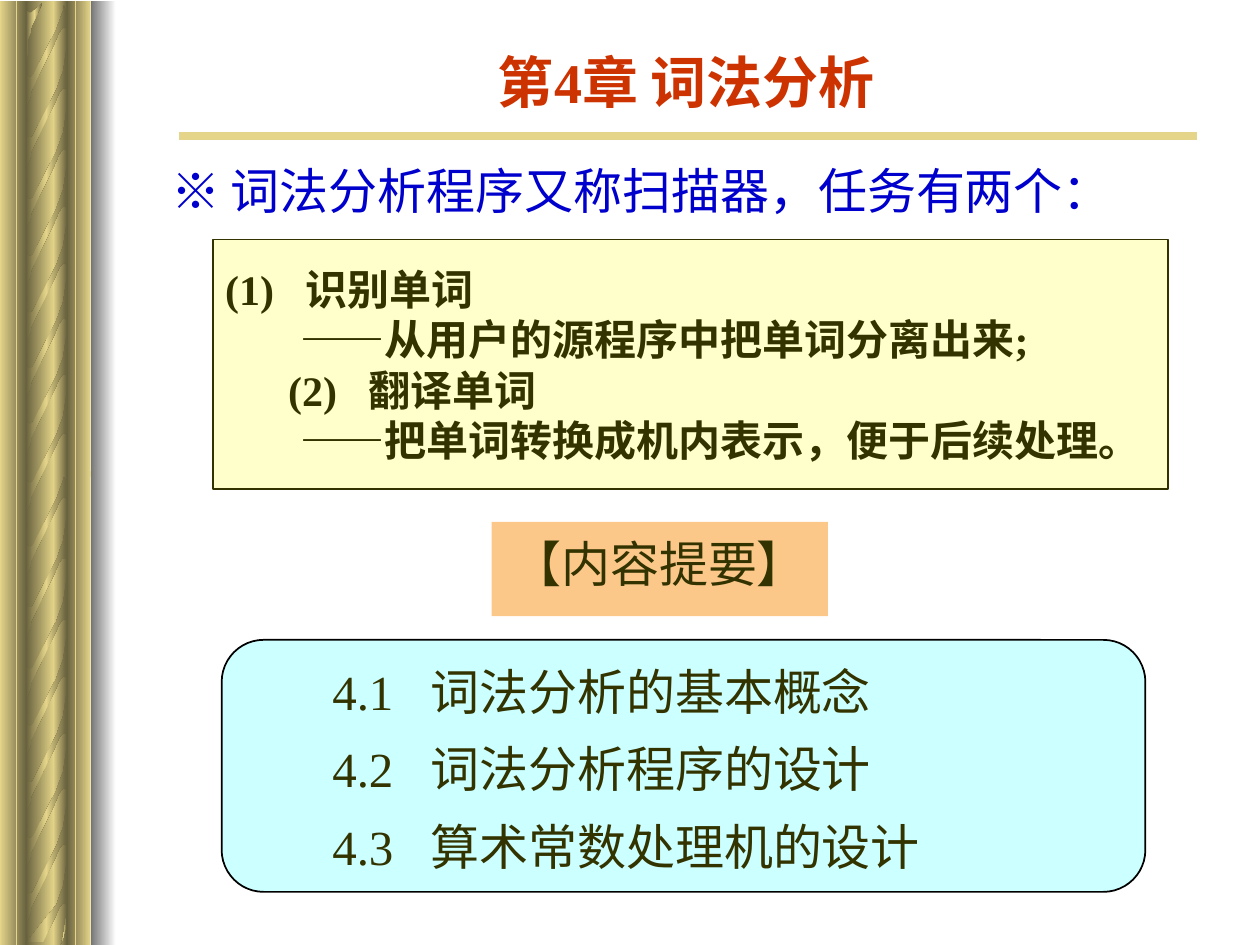
from lxml.etree import SubElement
from copy import deepcopy
from pptx import Presentation
from pptx.dml.color import RGBColor
from pptx.enum.shapes import MSO_CONNECTOR, MSO_SHAPE
from pptx.enum.text import MSO_ANCHOR, PP_ALIGN
from pptx.oxml.ns import qn
from pptx.util import Cm, Pt

DARK, GOLD, INK = "69623F", "E5D58A", "333300"
SERIF = "Times New Roman"
STRAND = [
    (0.81, 0.23), (0.81, 0.84), (0.79, 0.81), (0.74, 0.81), (0.71, 0.84),
    (0.66, 0.91), (0.56, 1.14), (0.33, 1.6), (0.1, 2.08), (0.08, 2.21),
    (0.03, 2.34), (0.03, 2.57), (0, 2.84), (0, 1.6), (0, 1.73),
    (0.03, 1.78), (0.05, 1.8), (0.1, 1.8), (0.13, 1.78), (0.61, 0.84),
    (0.69, 0.61), (0.74, 0.48), (0.76, 0.36), (0.79, 0.15), (0.81, 0),
    (0.81, 0.51),
]
STARTS = [-1.57, -0.28, 0.94, 2.18, 3.33, 4.47, 5.59, 6.71, 7.9]


def rgb(value):
    return RGBColor.from_string(value)


def gradient(sp, *colors):
    sp.shadow.inherit = False
    sp.line.fill.background()
    sp.fill.gradient()
    sp.fill.gradient_angle = 180
    stops = sp.fill._fill._gradFill.find(qn("a:gsLst"))
    while len(stops) < len(colors):
        stops.append(deepcopy(stops[-1]))
    for i, (stop, color) in enumerate(zip(sp.fill.gradient_stops, colors)):
        stop.position = i / (len(colors) - 1)
        stop.color.rgb = rgb(color)


def add_box(s, box, fill, line=None, kind=MSO_SHAPE.RECTANGLE):
    sp = s.shapes.add_shape(kind, *map(Cm, box))
    sp.shadow.inherit = False
    sp.fill.solid()
    sp.fill.fore_color.rgb = rgb(fill)
    if line:
        sp.line.color.rgb = rgb(line)
        sp.line.width = Pt(1)
    else:
        sp.line.fill.background()
    return sp


def add_line(s, x1, y1, x2, y2, width):
    c = s.shapes.add_connector(MSO_CONNECTOR.STRAIGHT, *map(Cm, (x1, y1, x2, y2)))
    c.line.color.rgb = rgb(GOLD)
    c.line.width = Pt(width)
    SubElement(c._element.spPr, qn("a:effectLst"))


def add_text(s, box, anchor=MSO_ANCHOR.TOP):
    tf = s.shapes.add_textbox(*map(Cm, box)).text_frame
    tf.word_wrap = True
    tf.vertical_anchor = anchor
    return tf


def write(tf, text, size=28, font=SERIF, color=INK, bold=False, align=PP_ALIGN.LEFT,
          left=0, hang=0, before=0, spacing=None):
    p = tf.paragraphs[0] if not tf.paragraphs[0].runs else tf.add_paragraph()
    p.alignment = align
    p.space_before = Pt(before)
    if spacing:
        p.line_spacing = spacing
    pPr = p._p.get_or_add_pPr()
    pPr.set("marL", str(Cm(left + hang)))
    pPr.set("indent", str(-Cm(hang)))
    r = p.add_run()
    r.text = text
    r.font.size = Pt(size)
    r.font.name = font
    r.font.bold = bold
    r.font.color.rgb = rgb(color)


def rope_panel(s, x, top, height, bottom, starts):
    bars = [(1.07, 0.28, (DARK, GOLD)), (0, 0.53, (DARK, GOLD)),
            (0.53, 0.56, (GOLD, DARK)), (1.35, 0.48, (GOLD, DARK))]
    for left, width, colors in bars:
        sp = s.shapes.add_shape(MSO_SHAPE.RECTANGLE, *map(Cm, (x + left, top, width, height)))
        gradient(sp, *colors)
    for start in starts:
        points = [(Cm(x + 0.53 + dx), Cm(top + start + dy)) for dx, dy in STRAND
                  if start + dy >= 0 and top + start + dy <= bottom]
        fb = s.shapes.build_freeform(*points[0])
        fb.add_line_segments(points[1:])
        gradient(fb.convert_to_shape(), DARK, GOLD, DARK)


def side_border(s, x, y, height):
    bottom = y + height
    rope_panel(s, x, y + 9.47, 9.58, bottom, STARTS[1:] + [8.94])
    rope_panel(s, x, y, 9.58, bottom, STARTS)
    shade = s.shapes.add_shape(MSO_SHAPE.RECTANGLE, *map(Cm, (x + 1.83, y, 0.51, height)))
    gradient(shade, "FFFFFF", "757575")
    for dx in (0.33, 1.52):
        add_line(s, x + dx, y, x + dx, bottom, 1)


def heading(s, x, y, width):
    add_line(s, x, y + 1.62, x + width, y + 1.62, 4.5)
    tf = add_text(s, (x + 1.19, y, 18.08, 1.02), MSO_ANCHOR.MIDDLE)
    write(tf, "第4章 词法分析", size=32, color="CC3300", bold=True, align=PP_ALIGN.CENTER)
    tf = add_text(s, (x - 0.41, y + 2, 21.11, 1.45))
    write(tf, "※ 词法分析程序又称扫描器，任务有两个：", font="Karla", color="0000CC")


def task_box(s, x, y, width, height):
    tf = add_box(s, (x, y, width, height), "FFFFCC", INK).text_frame
    tf.word_wrap = True
    tf.vertical_anchor = MSO_ANCHOR.MIDDLE
    tasks = [("(1)\t识别单词", 0, 1.62),
             ("——从用户的源程序中把单词分离出来;", 1.52, 0),
             ("(2)\t翻译单词", 1.27, 1.62),
             ("——把单词转换成机内表示，便于后续处理。", 1.52, 0)]
    for text, left, hang in tasks:
        write(tf, text, size=24, bold=True, left=left, hang=hang)


def summary_label(s, x, y, width, height):
    add_box(s, (x, y, width, height), "FCC88A")
    tf = add_text(s, (x + 0.17, y + 0.25, width, height - 0.4))
    write(tf, "【内容提要】", font="Noto Sans CJK SC", spacing=0.9)


def contents(s, x, y, width, height):
    add_box(s, (x, y, width, height), "CCFFFF", "000000", MSO_SHAPE.ROUNDED_RECTANGLE)
    tf = add_text(s, (x + 0.71, y + 0.44, width - 1.91, height - 0.28))
    sections = ["词法分析的基本概念", "词法分析程序的设计", "算术常数处理机的设计"]
    for i, name in enumerate(sections, 1):
        write(tf, f"4.{i}\t{name}", left=1.27, hang=1.98,
              before=14 if i > 1 else 0, spacing=0.9)


def main():
    prs = Presentation()
    prs.slide_width, prs.slide_height = Cm(25.4), Cm(19.05)
    s = prs.slides.add_slide(prs.slide_layouts[6])
    side_border(s, 0, 0.03, 19.05)
    heading(s, 3.61, 1.12, 20.52)
    task_box(s, 4.29, 4.83, 19.25, 5.03)
    summary_label(s, 9.91, 10.52, 6.78, 1.9)
    contents(s, 4.47, 12.9, 18.62, 5.08)
    prs.save("out.pptx")


if __name__ == "__main__":
    main()
